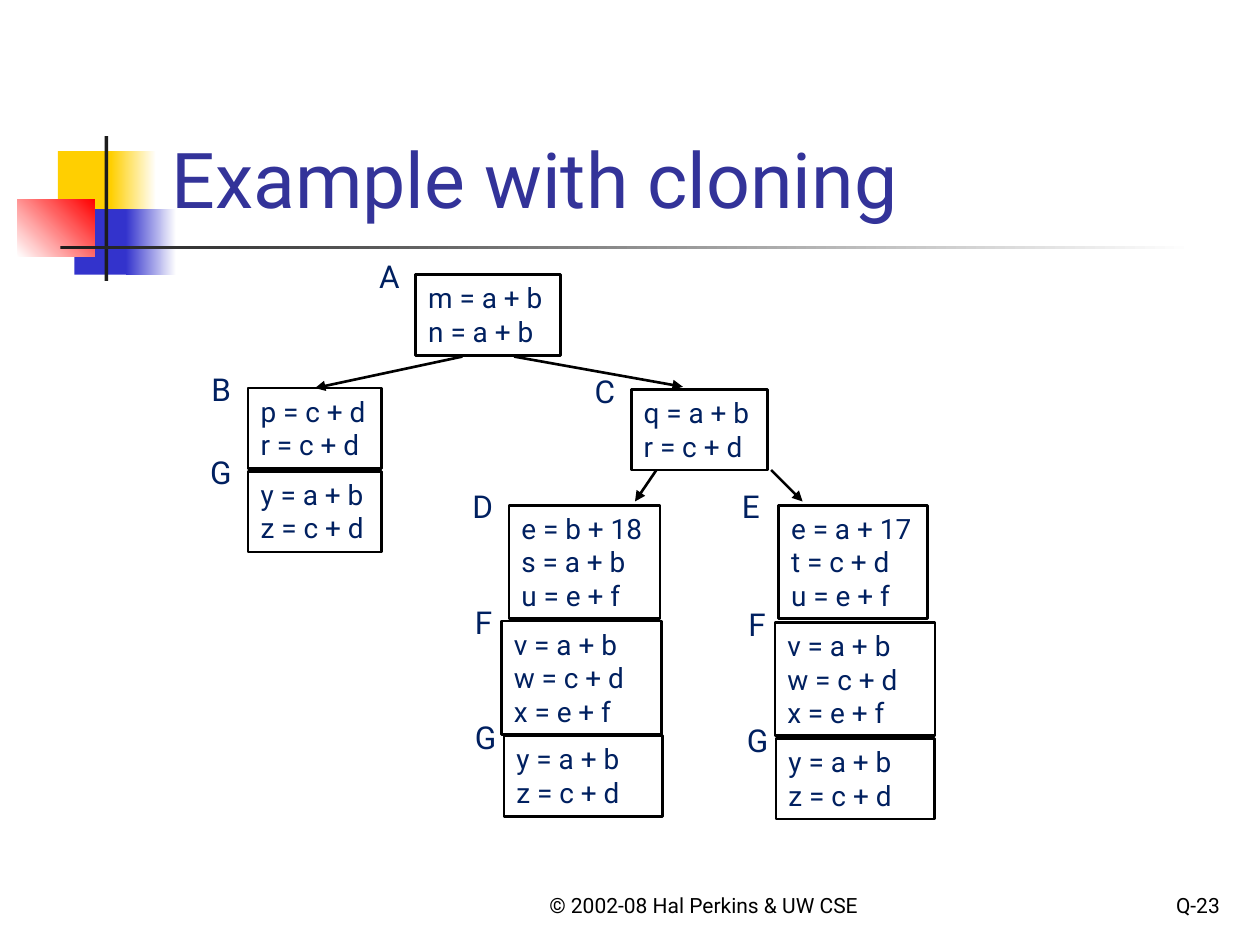
from dataclasses import dataclass
from typing import Optional

from lxml import etree
from pptx import Presentation
from pptx.dml.color import RGBColor
from pptx.enum import shapes, text
from pptx.oxml import ns
from pptx.util import Inches, Pt


@dataclass(frozen=True)
class Theme:
    font: str = "Roboto"
    title: str = "333399"
    code: str = "002060"
    ink: str = "000000"
    dark: str = "1C1C1C"
    gold: str = "FFCF01"
    blue: str = "3333CC"
    red: str = "FF0000"
    white: str = "FFFFFF"
    head: int = 44
    tag: int = 18
    body: int = 16
    foot: int = 12
    line: float = 1.5


@dataclass(frozen=True)
class Bar:
    """A decoration; it fades to a second colour when one is given."""
    x: float
    y: float
    w: float
    h: float
    start: str
    end: Optional[str] = None
    angle: int = 0


@dataclass(frozen=True)
class Block:
    """A basic block of code, with its tag set dx to the left."""
    tag: str
    x: float
    y: float
    w: float
    code: str
    dx: float = 0.39


@dataclass(frozen=True)
class Edge:
    x1: float
    y1: float
    x2: float
    y2: float
    to: Optional[int] = None


T = Theme()
LIFT = 0.19
ROW = 0.26
PAD = 0.12
VWX = "v = a + b\nw = c + d\nx = e + f"
YZ = "y = a + b\nz = c + d"

BARS = [
    Bar(0.46, 1.2, 0.48, 0.52, T.gold),
    Bar(0.88, 1.2, 0.36, 0.52, T.gold, T.white),
    Bar(0.59, 1.66, 0.46, 0.52, T.blue),
    Bar(1, 1.66, 0.4, 0.52, T.blue, T.white),
    Bar(0.14, 1.58, 0.61, 0.46, T.white, T.red, 45),
    Bar(0.83, 1.08, 0.03, 1.15, T.dark),
    Bar(0.48, 1.95, 9, 0.03, T.dark, T.white),
]
BLOCKS = [
    Block("A", 3.3, 2.18, 1.15, "m = a + b\nn = a + b"),
    Block("B", 1.97, 3.08, 1.06, "p = c + d\nr = c + d"),
    Block("G", 1.97, 3.74, 1.06, YZ, 0.4),
    Block("C", 5.01, 3.09, 1.08, "q = a + b\nr = c + d"),
    Block("D", 4.04, 4.01, 1.2, "e = b + 18\ns = a + b\nu = e + f"),
    Block("F", 3.98, 4.93, 1.27, VWX, 0.31),
    Block("G", 4, 5.84, 1.26, YZ, 0.33),
    Block("E", 6.18, 4.01, 1.18, "e = a + 17\nt = c + d\nu = e + f"),
    Block("F", 6.15, 4.94, 1.27, VWX, 0.31),
    Block("G", 6.16, 5.86, 1.26, YZ, 0.33),
]
EDGES = [
    Edge(3.67, 2.83, 2.5, 3.08, to=1),
    Edge(4.08, 2.83, 5.42, 3.07),
    Edge(5.21, 3.73, 5.04, 3.98),
    Edge(6.12, 3.73, 6.37, 3.98),
]


def tint(hue: str) -> RGBColor:
    return RGBColor.from_string(hue)


def write(shape, words: str, size: int, hue: str,
          align=text.PP_ALIGN.LEFT, anchor=text.MSO_ANCHOR.TOP) -> None:
    frame = shape.text_frame
    frame.text = words
    frame.word_wrap = True
    frame.auto_size = text.MSO_AUTO_SIZE.NONE
    frame.vertical_anchor = anchor
    for para in frame.paragraphs:
        para.alignment = align
        for run in para.runs:
            run.font.name = T.font
            run.font.size = Pt(size)
            run.font.color.rgb = tint(hue)


def label(slide, x: float, y: float, w: float, h: float,
          words: str, size: int, hue: str, **style) -> None:
    box = slide.shapes.add_textbox(Inches(x), Inches(y), Inches(w), Inches(h))
    write(box, words, size, hue, **style)


def rect(slide, x: float, y: float, w: float, h: float):
    shape = slide.shapes.add_shape(
        shapes.MSO_SHAPE.RECTANGLE, Inches(x), Inches(y), Inches(w), Inches(h))
    shape.shadow.inherit = False
    return shape


def draw_bar(slide, bar: Bar) -> None:
    shape = rect(slide, bar.x, bar.y, bar.w, bar.h)
    shape.line.fill.background()
    if bar.end is None:
        shape.fill.solid()
        shape.fill.fore_color.rgb = tint(bar.start)
        return
    shape.fill.gradient()
    shape.fill.gradient_angle = bar.angle
    for stop, hue in zip(shape.fill.gradient_stops, (bar.start, bar.end)):
        stop.color.rgb = tint(hue)


def draw_block(slide, block: Block):
    rows = block.code.count("\n") + 1
    shape = rect(slide, block.x, block.y, block.w, rows * ROW + PAD)
    shape.fill.background()
    shape.line.color.rgb = tint(T.ink)
    shape.line.width = Pt(T.line)
    write(shape, block.code, T.body, T.code)
    label(slide, block.x - block.dx, block.y - LIFT, 0.38, 0.4,
          block.tag, T.tag, T.code)
    return shape


def draw_edge(slide, edge: Edge, nodes: list) -> None:
    ends = [Inches(v) for v in (edge.x1, edge.y1, edge.x2, edge.y2)]
    link = slide.shapes.add_connector(shapes.MSO_CONNECTOR.STRAIGHT, *ends)
    if edge.to is not None:
        link.end_connect(nodes[edge.to], 0)
    link.line.color.rgb = tint(T.ink)
    link.line.width = Pt(T.line)
    etree.SubElement(link.line._get_or_add_ln(), ns.qn("a:tailEnd"),
                     type="triangle")
    etree.SubElement(link._element.spPr, ns.qn("a:effectLst"))


def main() -> None:
    deck = Presentation()
    deck.slide_width, deck.slide_height = Inches(10), Inches(7.5)
    slide = deck.slides.add_slide(deck.slide_layouts[5])
    for bar in BARS:
        draw_bar(slide, bar)

    title = slide.shapes.title
    title.left, title.top = Inches(1.26), Inches(0.23)
    title.width, title.height = Inches(8.52), Inches(1.6)
    low = text.MSO_ANCHOR.BOTTOM
    write(title, "Example with cloning", T.head, T.title, anchor=low)

    label(slide, 4, 6.83, 3.17, 0.5, "© 2002-08 Hal Perkins & UW CSE",
          T.foot, T.ink, align=text.PP_ALIGN.CENTER, anchor=low)
    label(slide, 7.7, 6.83, 2.08, 0.5, "Q-23",
          T.foot, T.ink, align=text.PP_ALIGN.RIGHT, anchor=low)

    nodes = [draw_block(slide, block) for block in BLOCKS]
    for edge in EDGES:
        draw_edge(slide, edge, nodes)
    deck.save("out.pptx")


if __name__ == "__main__":
    main()
